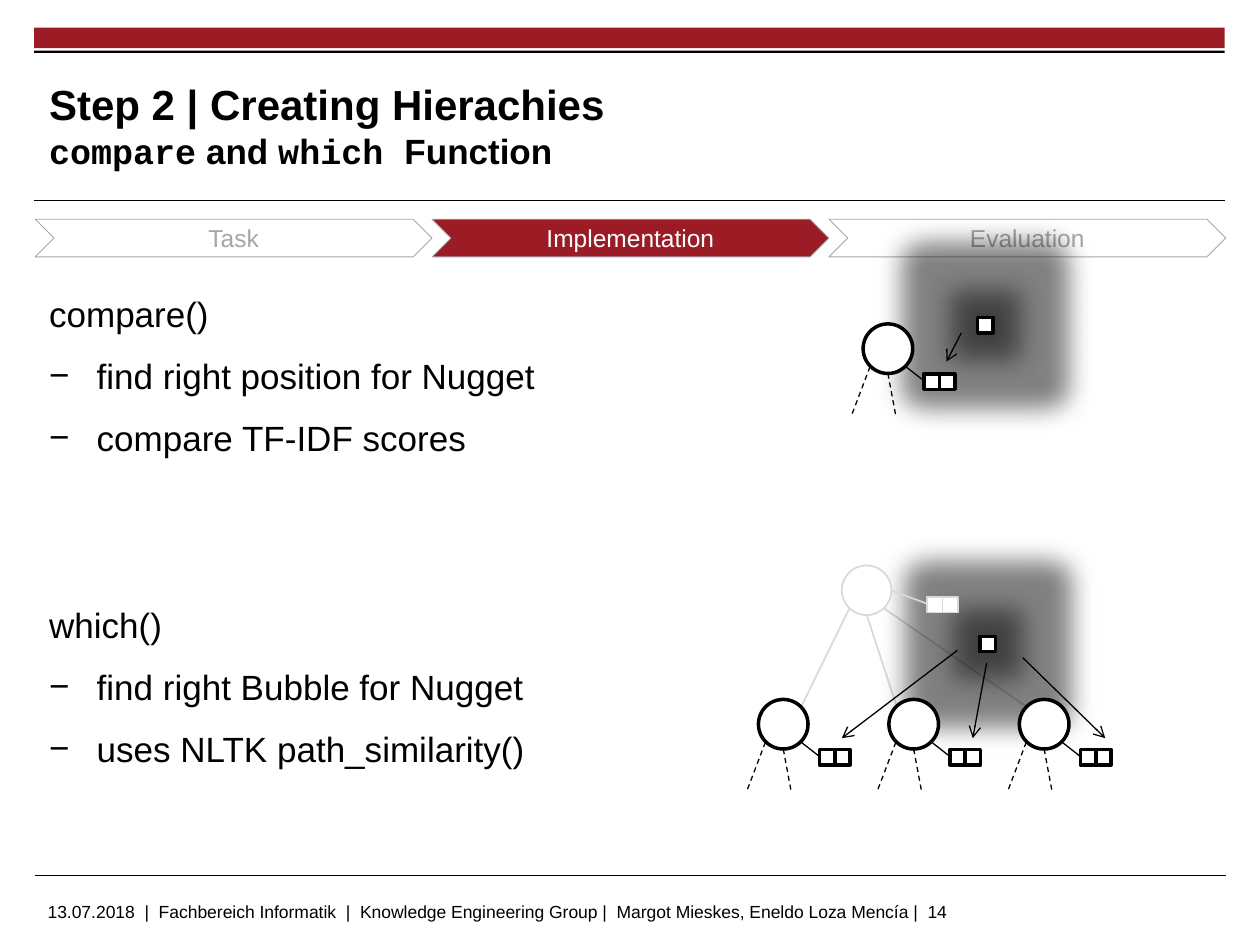
"""Build the slide on the compare and which functions for creating hierarchies."""
from lxml import etree
from pptx import Presentation
from pptx.dml.color import RGBColor
from pptx.enum.dml import MSO_LINE
from pptx.enum.shapes import MSO_CONNECTOR, MSO_SHAPE
from pptx.enum.text import MSO_ANCHOR, PP_ALIGN
from pptx.oxml.ns import qn
from pptx.util import Cm, Pt

RECTANGLE, OVAL, CHEVRON = MSO_SHAPE.RECTANGLE, MSO_SHAPE.OVAL, MSO_SHAPE.CHEVRON
STRAIGHT, DASH = MSO_CONNECTOR.STRAIGHT, MSO_LINE.DASH
MIDDLE, CENTER = MSO_ANCHOR.MIDDLE, PP_ALIGN.CENTER

COLORS = {"red": "9C1C26", "black": "000000", "white": "FFFFFF", "gray": "A6A6A6", "pale": "D9D9D9"}
SANS, MONO = "Arial", "Courier New"

FOOTER = ("13.07.2018  |  Fachbereich Informatik  |  Knowledge Engineering Group |  "
          "Margot Mieskes, Eneldo Loza Mencía |  14")
HEADING = "Step 2 | Creating Hierachies"
SUBHEADING = [("compare", MONO), (" and ", SANS), ("which ", MONO), ("Function", SANS)]
STEPS = [("Task", "white", "gray"), ("Implementation", "red", "white"), ("Evaluation", "white", "gray")]
SECTIONS = [
    ("compare()", ["find right position for Nugget", "compare TF-IDF scores"]),
    ("which()", ["find right Bubble for Nugget", "uses NLTK path_similarity()"]),
]
RULES = [(0.69, 4.04), (0.71, 17.65)]
NUGGETS = [(19.71, 6.4), (19.76, 12.83)]
PARENT = (16.97, 11.4)
PARENT_EDGES = [((17.12, 12.27), (16.15, 14.25)), ((17.48, 12.42), (18.08, 14.25)),
                ((17.83, 12.27), (20.7, 14.25))]
BUBBLES = [(17.4, 6.53)] + [(15.29 + 2.63 * column, 14.1) for column in range(3)]
BUBBLE_EDGES = [((0.14, 0.86), (-0.24, 1.86), DASH), ((0.5, 1), (0.66, 1.86), DASH),
                ((0.86, 0.86), (1.23, 1.15), None)]
ARROWS = [((19.38, 6.71), (19.08, 7.29)), ((19.3, 13.11), (16.97, 14.88)),
          ((19.89, 13.36), (19.61, 14.88)), ((20.62, 13.26), (22.28, 14.88))]
WIDTH, CELL, DIAMETER = 24, 0.31, 1

presentation = Presentation()
presentation.slide_width, presentation.slide_height = Cm(25.4), Cm(19.05)
slide = presentation.slides.add_slide(presentation.slide_layouts[6])


def rgb(name):
    return RGBColor.from_string(COLORS[name])


def add_text(paragraph, text, size=20, font=SANS, color="black", bold=False):
    run = paragraph.add_run()
    run.text = text
    run.font.size, run.font.name, run.font.bold = Pt(size), font, bold
    run.font.color.rgb = rgb(color)


def add_box(left, top, width, height, margins=(0, 0)):
    frame = slide.shapes.add_textbox(Cm(left), Cm(top), Cm(width), Cm(height)).text_frame
    frame.word_wrap = True
    frame.margin_left = frame.margin_right = Cm(margins[0])
    frame.margin_top = frame.margin_bottom = Cm(margins[1])
    return frame


def add_shape(kind, left, top, width, height, fill="white", line=None, weight=2):
    shape = slide.shapes.add_shape(kind, Cm(left), Cm(top), Cm(width), Cm(height))
    shape.shadow.inherit = False
    shape.fill.solid()
    shape.fill.fore_color.rgb = rgb(fill)
    if line:
        shape.line.color.rgb, shape.line.width = rgb(line), Pt(weight)
    else:
        shape.line.fill.background()
    return shape


def add_line(start, end, color="black", weight=0.75, dash=None, arrow=False):
    connector = slide.shapes.add_connector(STRAIGHT, *(Cm(value) for value in (*start, *end)))
    connector.line.color.rgb, connector.line.width = rgb(color), Pt(weight)
    if dash:
        connector.line.dash_style = dash
    if arrow:
        etree.SubElement(connector.line._get_or_add_ln(), qn("a:tailEnd"), type="arrow")
    etree.SubElement(connector._element.spPr, qn("a:effectLst"))


def add_cells(left, top, count, color="black", weight=2):
    for index in range(count):
        cell = add_shape(RECTANGLE, left + index * CELL, top, CELL, CELL, line=color, weight=weight)
    return cell


def add_nugget(left, top):
    effects = add_cells(left, top, 1)._element.spPr.find(qn("a:effectLst"))
    halos = [("a:glow", {"rad": str(Cm(1))}),
             ("a:outerShdw", {"blurRad": str(Cm(0.4)), "dist": "0", "algn": "ctr", "rotWithShape": "0"})]
    for tag, attributes in halos:
        color = etree.SubElement(etree.SubElement(effects, qn(tag), attributes),
                                 qn("a:srgbClr"), val=COLORS["black"])
        etree.SubElement(color, qn("a:alpha"), val="40000")


def add_bubble(left, top):
    def place(point):
        return left + point[0], top + point[1]

    add_shape(OVAL, left, top, DIAMETER, DIAMETER, line="black")
    add_cells(*place((1.23, 1.01)), 2)
    for start, end, dash in BUBBLE_EDGES:
        add_line(place(start), place(end), dash=dash)


def add_frame():
    add_shape(RECTANGLE, 0.69, 0.56, WIDTH, 0.41, fill="red")
    add_shape(RECTANGLE, 0.69, 1.02, WIDTH, 0.05, fill="black")
    for left, top in RULES:
        add_line((left, top), (left + WIDTH, top), weight=0.6)
    add_text(add_box(0.71, 18.03, 20.02, 0.64, (0.25, 0.13)).paragraphs[0], FOOTER, size=10)
    title = add_box(0.99, 1.35, 18.44, 2.34)
    title.vertical_anchor = MIDDLE
    paragraph = title.paragraphs[0]
    add_text(paragraph, HEADING, size=24, bold=True)
    paragraph.add_line_break()
    for text, font in SUBHEADING:
        add_text(paragraph, text, font=font, bold=True)


def add_steps():
    width = WIDTH / len(STEPS)
    for index, (label, fill, color) in enumerate(STEPS):
        frame = add_shape(CHEVRON, 0.71 + index * width, 4.42, width, 0.76, fill, "gray", 0.5).text_frame
        frame.vertical_anchor = MIDDLE
        frame.margin_top = frame.margin_bottom = 0
        frame.paragraphs[0].alignment = CENTER
        add_text(frame.paragraphs[0], label, size=14, color=color)


def add_body():
    frame = add_box(0.99, 5.51, 23.7, 11.43, (0, 0.13))
    for section, (name, points) in enumerate(SECTIONS):
        for index, text in enumerate([name, *points]):
            paragraph = frame.add_paragraph() if section or index else frame.paragraphs[0]
            paragraph.line_spacing = 1.3
            paragraph.space_before = Pt(73 if section and not index else 2)
            paragraph.space_after = Pt(2.3)
            if index:
                properties = paragraph._p.get_or_add_pPr()
                properties.set("marL", str(Cm(0.96)))
                properties.set("indent", str(-Cm(0.96)))
                etree.SubElement(properties, qn("a:buFont"), typeface=SANS)
                etree.SubElement(properties, qn("a:buChar"), char="−")
            add_text(paragraph, text)


def add_trees():
    for start, end in PARENT_EDGES:
        add_line(start, end, "pale", 1)
    for nugget in NUGGETS:
        add_nugget(*nugget)
    for bubble in BUBBLES:
        add_bubble(*bubble)
    add_shape(OVAL, *PARENT, DIAMETER, DIAMETER, line="pale", weight=1)
    add_cells(18.69, 12.04, 2, "pale", 1)
    add_line((17.98, 11.91), (18.69, 12.17), "pale", 1)
    for start, end in ARROWS:
        add_line(start, end, arrow=True)


add_frame()
add_steps()
add_body()
add_trees()
presentation.save("out.pptx")
